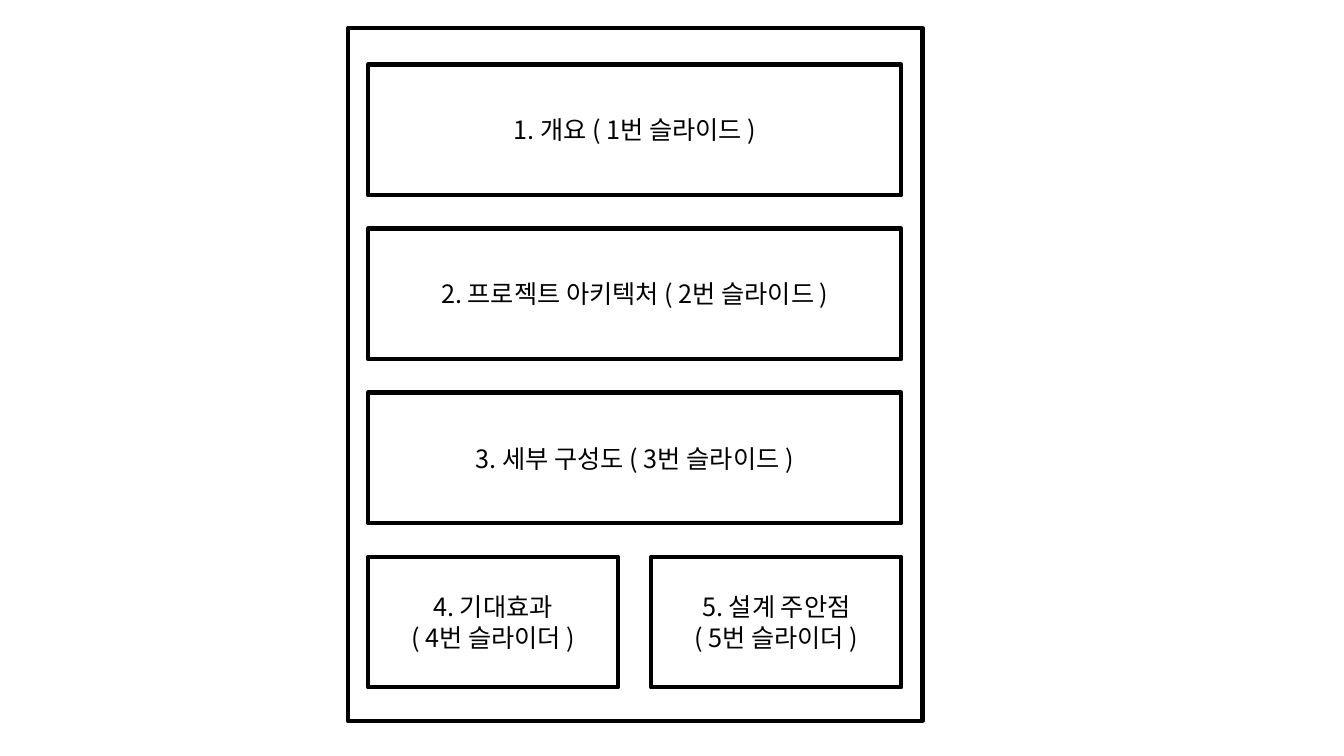
from lxml.etree import SubElement
from pptx import Presentation
from pptx.dml.color import RGBColor
from pptx.enum.shapes import MSO_SHAPE as Shape
from pptx.enum.text import MSO_ANCHOR as Anchor, PP_ALIGN as Align
from pptx.oxml.ns import qn
from pptx.util import Inches, Pt

FONT = "Noto Sans CJK KR"
INK = "000000"
PAGE = (3.45, 0.28, 5.7, 6.87)
CONTENT = (3.65, 0.64, 5.29, 6.18)
GAP = 0.33
SECTION_ROWS = [
    ["1. 개요 ( 1번 슬라이드 )"],
    ["2. 프로젝트 아키텍처 ( 2번 슬라이드 )"],
    ["3. 세부 구성도 ( 3번 슬라이드 )"],
    ["4. 기대효과\v( 4번 슬라이더 )", "5. 설계 주안점\v( 5번 슬라이더 )"],
]


def color(value):
    """Turn a hex string into a colour."""
    return RGBColor.from_string(value)


def add_frame(slide, box, line=INK, weight=3):
    """Draw an unfilled rectangle in the box, given in inches."""
    frame = slide.shapes.add_shape(Shape.RECTANGLE, *map(Inches, box))
    frame.shadow.inherit = False
    frame.fill.background()
    frame.line.color.rgb = color(line)
    frame.line.width = Pt(weight)
    return frame


def write(frame, text, size=18, ink=INK, font=FONT, align=Align.CENTER, anchor=Anchor.MIDDLE):
    """Write formatted text into a frame, with \\v as a line break."""
    body = frame.text_frame
    body.word_wrap = True
    body.vertical_anchor = anchor
    paragraph = body.paragraphs[0]
    paragraph.text = text
    paragraph.alignment = align
    for run in paragraph.runs:
        run.font.size = Pt(size)
        run.font.name = font
        run.font.color.rgb = color(ink)
        SubElement(run.font._element, qn("a:ea")).set("typeface", font)


def add_sections(slide, box, rows, gap=GAP):
    """Stack rows of equal height, each split into equal columns."""
    left, top, width, height = box
    row_height = (height - gap * (len(rows) - 1)) / len(rows)
    for row, sections in enumerate(rows):
        section_width = (width - gap * (len(sections) - 1)) / len(sections)
        for column, section in enumerate(sections):
            x = left + column * (section_width + gap)
            y = top + row * (row_height + gap)
            write(add_frame(slide, (x, y, section_width, row_height)), section)


def main():
    """Build the layout plan and save it."""
    deck = Presentation()
    deck.slide_width, deck.slide_height = Inches(13.33), Inches(7.5)
    slide = deck.slides.add_slide(deck.slide_layouts[6])
    add_frame(slide, PAGE)
    add_sections(slide, CONTENT, SECTION_ROWS)
    deck.save("out.pptx")


if __name__ == "__main__":
    main()
